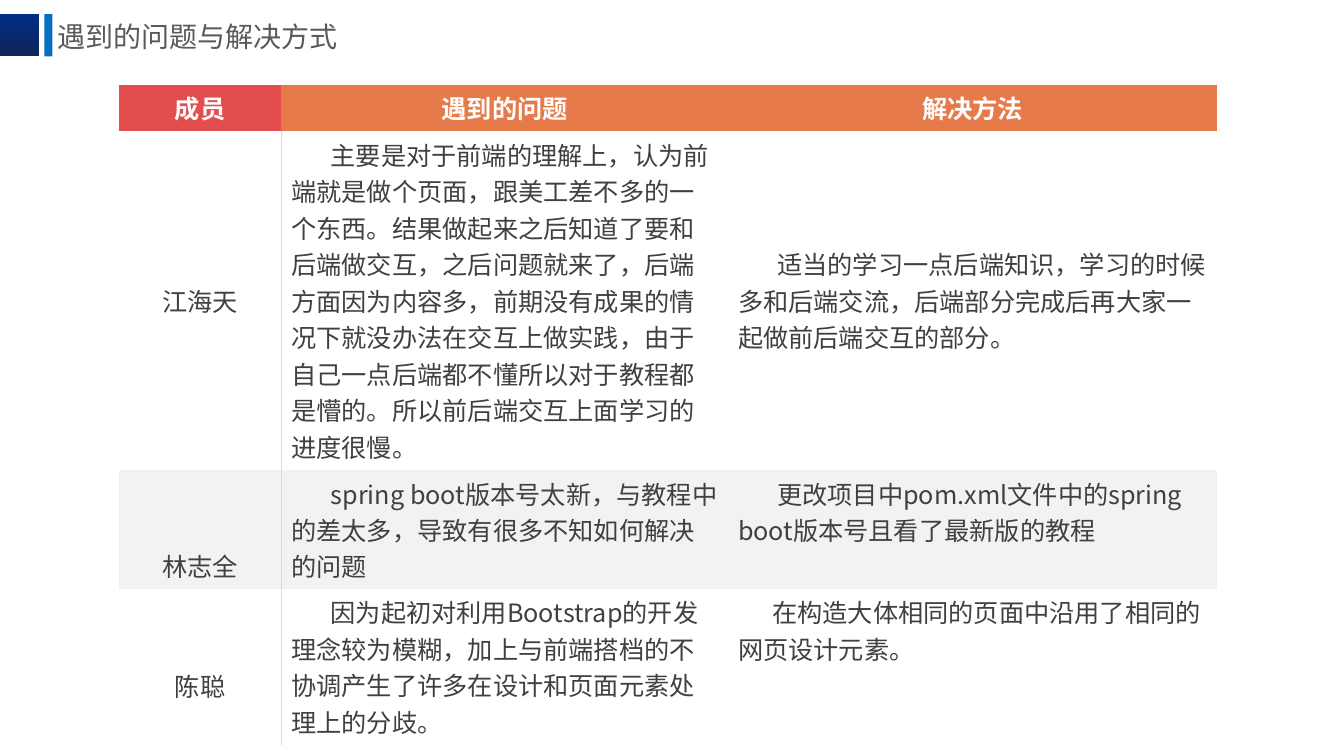
from lxml import etree
from pptx import Presentation
from pptx.dml.color import RGBColor
from pptx.enum.shapes import MSO_SHAPE
from pptx.enum.text import MSO_ANCHOR, PP_ALIGN
from pptx.oxml.ns import qn
from pptx.util import Inches, Pt

RECT = MSO_SHAPE.RECTANGLE
TOP, MID, LOW = MSO_ANCHOR.TOP, MSO_ANCHOR.MIDDLE, MSO_ANCHOR.BOTTOM
LEFT, MIDST = PP_ALIGN.LEFT, PP_ALIGN.CENTER
FONT = "Noto Sans CJK SC"
HEX = {
    "navy": "012D86", "deep": "0E2557", "blue": "0070C0", "title": "595959",
    "red": "E34D4D", "orange": "E67A4A", "white": "FFFFFF", "gray": "F2F2F2",
    "text": "404040", "rule": "D9D9D9",
}
COLS = (1.61, 4.43, 4.85)
ROWS = (0.46, 3.36, 1.18, 1.55)
HEADS = ("成员", "遇到的问题", "解决方法")
HEAD = {"size": Pt(18), "name": "Calibri", "bold": True}
BODY = {"size": Pt(18), "name": FONT, "bold": False}
TITLE = {"size": Pt(20), "name": FONT}
MEMBERS = (
    ("江海天",
     "主要是对于前端的理解上，认为前端就是做个页面，跟美工差不多的一个东西。"
     "结果做起来之后知道了要和后端做交互，之后问题就来了，后端方面因为内容多，"
     "前期没有成果的情况下就没办法在交互上做实践，由于自己一点后端都不懂所以"
     "对于教程都是懵的。所以前后端交互上面学习的进度很慢。",
     "适当的学习一点后端知识，学习的时候多和后端交流，"
     "后端部分完成后再大家一起做前后端交互的部分。"),
    ("林志全",
     "spring boot版本号太新，与教程中的差太多，导致有很多不知如何解决的问题",
     "更改项目中pom.xml文件中的spring boot版本号且看了最新版的教程"),
    ("陈聪",
     "因为起初对利用Bootstrap的开发理念较为模糊，"
     "加上与前端搭档的不协调产生了许多在设计和页面元素处理上的分歧。",
     "在构造大体相同的页面中沿用了相同的网页设计元素。"),
)
ANCHORS = ((MID, TOP, MID), (LOW, TOP, TOP), (LOW, TOP, TOP))
INDENTS = ((0, 0.39, 0.39), (0, 0.39, 0.39), (0, 0.39, 0.34))


def rgb(key):
    """Return the named colour."""
    return RGBColor.from_string(HEX[key])


def add_bar(slide, box, *keys):
    """Draw a bar with one solid colour or a downward gradient of two."""
    bar = slide.shapes.add_shape(RECT, *map(Inches, box))
    bar.shadow.inherit = False
    bar.line.fill.background()
    if len(keys) == 1:
        bar.fill.solid()
        bar.fill.fore_color.rgb = rgb(keys[0])
        return
    bar.fill.gradient()
    bar.fill.gradient_angle = 270
    for stop, key, place in zip(bar.fill.gradient_stops, keys, (0, 1)):
        stop.color.rgb = rgb(key)
        stop.position = place


def put_text(frame, text, form, key, align=LEFT, indent=0):
    """Write one formatted paragraph into a text frame."""
    para = frame.paragraphs[0]
    para.alignment = align
    if indent:
        props = para._p.get_or_add_pPr()
        props.set("marL", "0")
        props.set("indent", str(Inches(indent)))
    run = para.add_run()
    run.text = text
    for name, value in form.items():
        setattr(run.font, name, value)
    run.font.color.rgb = rgb(key)
    east = etree.SubElement(run._r.get_or_add_rPr(), qn("a:ea"))
    east.set("typeface", FONT)


def add_title(slide, text):
    """Place the slide title."""
    box = slide.shapes.add_textbox(*map(Inches, (0.47, 0.06, 3.26, 0.61)))
    frame = box.text_frame
    frame.word_wrap = True
    frame.vertical_anchor = MID
    put_text(frame, text, TITLE, "title")


def set_edges(cell, ruled):
    """Rule the listed sides of a cell and clear the others."""
    props = cell._tc.get_or_add_tcPr()
    for side in ("lnL", "lnR", "lnT", "lnB"):
        line = etree.SubElement(props, qn("a:" + side))
        if side in ruled:
            line.set("w", str(Pt(1)))
            fill = etree.SubElement(line, qn("a:solidFill"))
            etree.SubElement(fill, qn("a:srgbClr")).set("val", HEX["rule"])
        else:
            line.set("w", "0")
            etree.SubElement(line, qn("a:noFill"))


def fill_cell(cell, key, ruled, anchor):
    """Set the edges, fill and anchor of a cell."""
    set_edges(cell, ruled)
    cell.fill.solid()
    cell.fill.fore_color.rgb = rgb(key)
    cell.vertical_anchor = anchor


def add_grid(slide):
    """Build the table of members, problems and solutions."""
    size = map(Inches, (1.18, 0.84, sum(COLS), sum(ROWS)))
    grid = slide.shapes.add_table(len(ROWS), len(COLS), *size).table
    for col, width in zip(grid.columns, COLS):
        col.width = Inches(width)
    for row, height in zip(grid.rows, ROWS):
        row.height = Inches(height)
    for c, text in enumerate(HEADS):
        cell = grid.cell(0, c)
        fill_cell(cell, "orange" if c else "red", (), TOP)
        put_text(cell.text_frame, text, HEAD, "white", MIDST)
    for r, texts in enumerate(MEMBERS):
        for c, text in enumerate(texts):
            cell = grid.cell(r + 1, c)
            ruled = (("lnR",), ("lnL",), ())[c]
            fill_cell(cell, "gray" if r % 2 else "white", ruled, ANCHORS[r][c])
            align = LEFT if c else MIDST
            put_text(cell.text_frame, text, BODY, "text", align, INDENTS[r][c])
    grid.cell(3, 0).margin_bottom = Inches(0.41)


def main():
    """Build and save the slide."""
    deck = Presentation()
    deck.slide_width, deck.slide_height = Inches(13.33), Inches(7.5)
    slide = deck.slides.add_slide(deck.slide_layouts[6])
    add_bar(slide, (-0.01, 0.14, 0.4, 0.42), "navy", "deep")
    add_bar(slide, (0.44, 0.14, 0.08, 0.42), "blue")
    add_title(slide, "遇到的问题与解决方式")
    add_grid(slide)
    deck.save("out.pptx")


if __name__ == "__main__":
    main()
